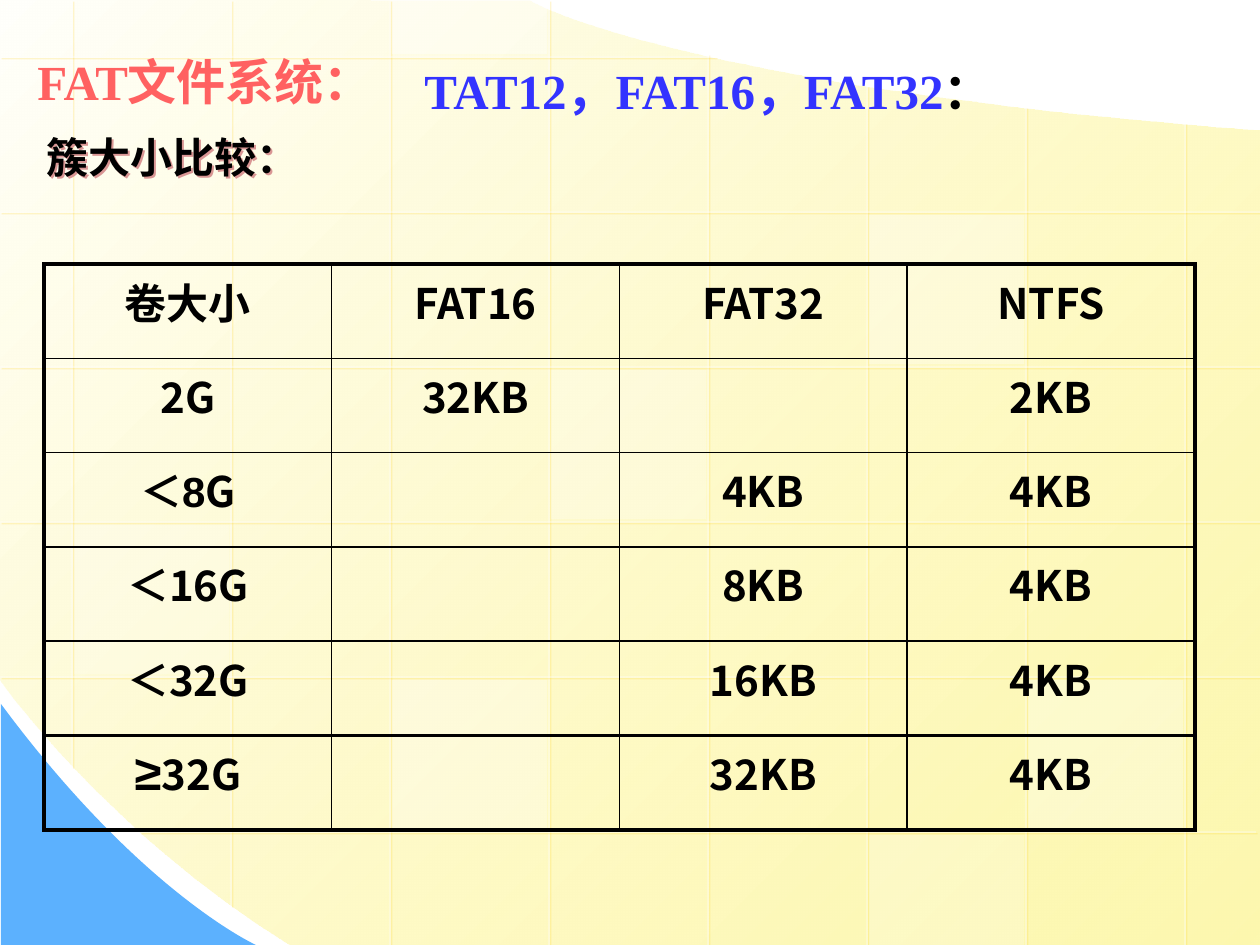
from lxml import etree
from pptx import Presentation
from pptx import util as u
from pptx.dml.color import RGBColor
from pptx.enum import shapes, text
from pptx.oxml import parse_xml
from pptx.oxml.ns import qn

PX = 914400 / 126
WIDTH, HEIGHT = 1260, 945
WHITE = RGBColor(0xFF, 0xFF, 0xFF)
BLACK = RGBColor(0, 0, 0)
IVORY = RGBColor(0xFF, 0xFF, 0xFB)
YELLOW = RGBColor(0xFD, 0xF5, 0x8D)
SKY = RGBColor(0x5C, 0xB1, 0xFE)
CORAL = RGBColor(0xFF, 0x61, 0x61)
BLUE = RGBColor(0x33, 0x33, 0xFF)
SERIF, SANS, CJK = "Times New Roman", "Arial", "Noto Sans CJK SC"
NAMESPACE = "http://schemas.openxmlformats.org/drawingml/2006/main"
SHADOW = (
    f'<a:effectLst xmlns:a="{NAMESPACE}"><a:outerShdw dist="{{}}" dir="2700000" algn="ctr">'
    '<a:srgbClr val="{}"><a:alpha val="{}"/></a:srgbClr></a:outerShdw></a:effectLst>'
)
BORDER = (
    f'<a:{{0}} xmlns:a="{NAMESPACE}" w="{{1}}"><a:solidFill><a:srgbClr val="000000"/>'
    '</a:solidFill><a:prstDash val="solid"/></a:{0}>'
)


def set_alpha(shape, percent):
    colour = shape._element.spPr.findall(".//" + qn("a:srgbClr"))[-1]
    etree.SubElement(colour, qn("a:alpha"), val=str(percent * 1000))


def style_font(font, size, name, colour):
    font.size, font.bold, font.name = u.Pt(size), True, name
    font.color.rgb = colour
    east_asian = etree.SubElement(font._element, qn("a:ea"), typeface=CJK)
    font._element.find(qn("a:latin")).addnext(east_asian)


presentation = Presentation()
presentation.slide_width = u.Emu(round(WIDTH * PX))
presentation.slide_height = u.Emu(round(HEIGHT * PX))
slide = presentation.slides.add_slide(presentation.slide_layouts[6])

sheet_outline = [
    [(1260, 131)], [(1260, 945)], [(290, 945)],
    [(108, 833), (-1, 679), (0, 679)],
    [(-1, -1)], [(530, 1)],
    [(530, 1), (676, 87), (1260, 131)],
]
corner_outline = [
    [(1, 704)], [(1, 945)], [(256, 945)],
    [(256, 945), (141, 893), (1, 704)],
]
backdrops = []
for outline in (sheet_outline, corner_outline):
    corners = [segment[-1] for segment in outline]
    left, top = (min(values) for values in zip(*corners))
    builder = slide.shapes.build_freeform(*corners[0], scale=PX)
    builder.add_line_segments(corners[1:], close=True)
    shape = builder.convert_to_shape()
    steps = shape._element.spPr.find(".//" + qn("a:path"))
    for step, segment in zip(list(steps), outline):
        if len(segment) == 3:
            step.tag = qn("a:cubicBezTo")
            end_point = step[0]
            for x, y in segment[:2]:
                control = etree.Element(qn("a:pt"), x=str(x - left), y=str(y - top))
                end_point.addprevious(control)
    shape.shadow.inherit = False
    shape.line.fill.background()
    backdrops.append(shape)

sheet, corner = backdrops
sheet.fill.gradient()
sheet.fill.gradient_angle = 315
for stop, position, colour in zip(sheet.fill.gradient_stops, (0, 1), (IVORY, YELLOW)):
    stop.position = position
    stop.color.rgb = colour
set_alpha(sheet, 70)
corner.fill.solid()
corner.fill.fore_color.rgb = SKY

GRID_LEFT, GRID_TOP, COLUMN_STEP, ROW_STEP = 72, 57, 159, 155
column_spans = [(0, 767), (0, 906), (0, 945), (0, 948), (54, 948), (86, 948), (107, 948), (123, 948)]
row_spans = [(716, 0), (1261, 0), (1261, 0), (1261, 0), (1261, 0), (1256, 140)]
grid_lines = []
for index, (top, bottom) in enumerate(column_spans):
    x = GRID_LEFT + COLUMN_STEP * index
    grid_lines.append((x, top, x, bottom))
for index, (right, left) in enumerate(row_spans):
    y = GRID_TOP + ROW_STEP * index
    grid_lines.append((right, y, left, y))
for ends in grid_lines:
    connector = slide.shapes.add_connector(
        shapes.MSO_CONNECTOR.STRAIGHT, *[round(value * PX) for value in ends])
    connector.line.color.rgb = WHITE
    connector.line.width = u.Pt(0.75)
    set_alpha(connector, 50)
    connector._element.spPr.append(parse_xml(SHADOW.format(u.Pt(1.4), "FFCC00", 34000)))

tiles = [(3, 2, 25), (6, 4, 30), (0, 3, 20), (5, 5, 20), (2, -1, 40), (2, 4, 30), (5, 1, 30)]
for column, row, opacity in tiles:
    left = GRID_LEFT + COLUMN_STEP * column + 2
    top = GRID_TOP + ROW_STEP * row + 3
    bottom = min(top + 149, HEIGHT)
    top = max(top, 0)
    box = [round(value * PX) for value in (left, top, 155, bottom - top)]
    tile = slide.shapes.add_shape(shapes.MSO_SHAPE.RECTANGLE, *box)
    tile.shadow.inherit = False
    tile.fill.solid()
    tile.fill.fore_color.rgb = WHITE
    tile.line.fill.background()
    set_alpha(tile, opacity)

headings = [
    ((25, 45, 581, 72), 28, SERIF, [("FAT文件系统：", CORAL)]),
    ((412, -4, 704, 130), 28, SERIF, [("TAT12，FAT16，FAT32", BLUE), ("：", BLACK)]),
    ((34, 125, 714, 63), 24, SANS, [("簇大小比较：", BLACK)]),
]
heading_boxes = []
for box, size, font_name, runs in headings:
    heading = slide.shapes.add_textbox(*[round(value * PX) for value in box])
    heading.text_frame.word_wrap = True
    paragraph = heading.text_frame.paragraphs[0]
    for words, colour in runs:
        run = paragraph.add_run()
        run.text = words
        if len(runs) > 1:
            style_font(run.font, size, font_name, colour)
    if len(runs) == 1:
        style_font(paragraph.font, size, font_name, runs[0][1])
    heading_boxes.append(heading)

versions, comparison = heading_boxes[1:]
paragraph = versions.text_frame.paragraphs[0]
paragraph.line_spacing = 2.0
paragraph._p.get_or_add_pPr().set("marL", str(u.Inches(0.5)))
paragraph._p.get_or_add_pPr().set("indent", str(u.Inches(-0.5)))
comparison._element.spPr.append(parse_xml(SHADOW.format(u.Pt(1.8), "D99694", 100000)))

cluster_sizes = [
    ["卷大小", "FAT16", "FAT32", "NTFS"],
    ["2G", "32KB", "", "2KB"],
    ["＜8G", "", "4KB", "4KB"],
    ["＜16G", "", "8KB", "4KB"],
    ["＜32G", "", "16KB", "4KB"],
    ["≥32G", "", "32KB", "4KB"],
]
mixed_fonts = {
    "＜8G": [("＜8", 24, SANS), ("G", 24, CJK)],
    "≥32G": [("≥", 28, SANS), ("32G", 24, CJK)],
}
row_count, column_count = len(cluster_sizes), len(cluster_sizes[0])
box = [round(value * PX) for value in (44, 264, 1151, 566)]
table = slide.shapes.add_table(row_count, column_count, *box).table
table.first_row = table.horz_banding = False
for r, row in enumerate(cluster_sizes):
    for c, words in enumerate(row):
        cell = table.cell(r, c)
        thick_sides = {
            "lnL": c == 0,
            "lnR": c == column_count - 1,
            "lnT": r in (0, row_count - 1),
            "lnB": r >= row_count - 2,
        }
        for side, thick in thick_sides.items():
            width = u.Pt(2.25 if thick else 1)
            cell._tc.get_or_add_tcPr().append(parse_xml(BORDER.format(side, width)))
        cell.fill.background()
        paragraph = cell.text_frame.paragraphs[0]
        paragraph.alignment = text.PP_ALIGN.CENTER
        if words in mixed_fonts:
            for part, size, font_name in mixed_fonts[words]:
                run = paragraph.add_run()
                run.text = part
                style_font(run.font, size, font_name, BLACK)
        elif words:
            paragraph.add_run().text = words
            style_font(paragraph.font, 24, CJK, BLACK)

presentation.save("out.pptx")
